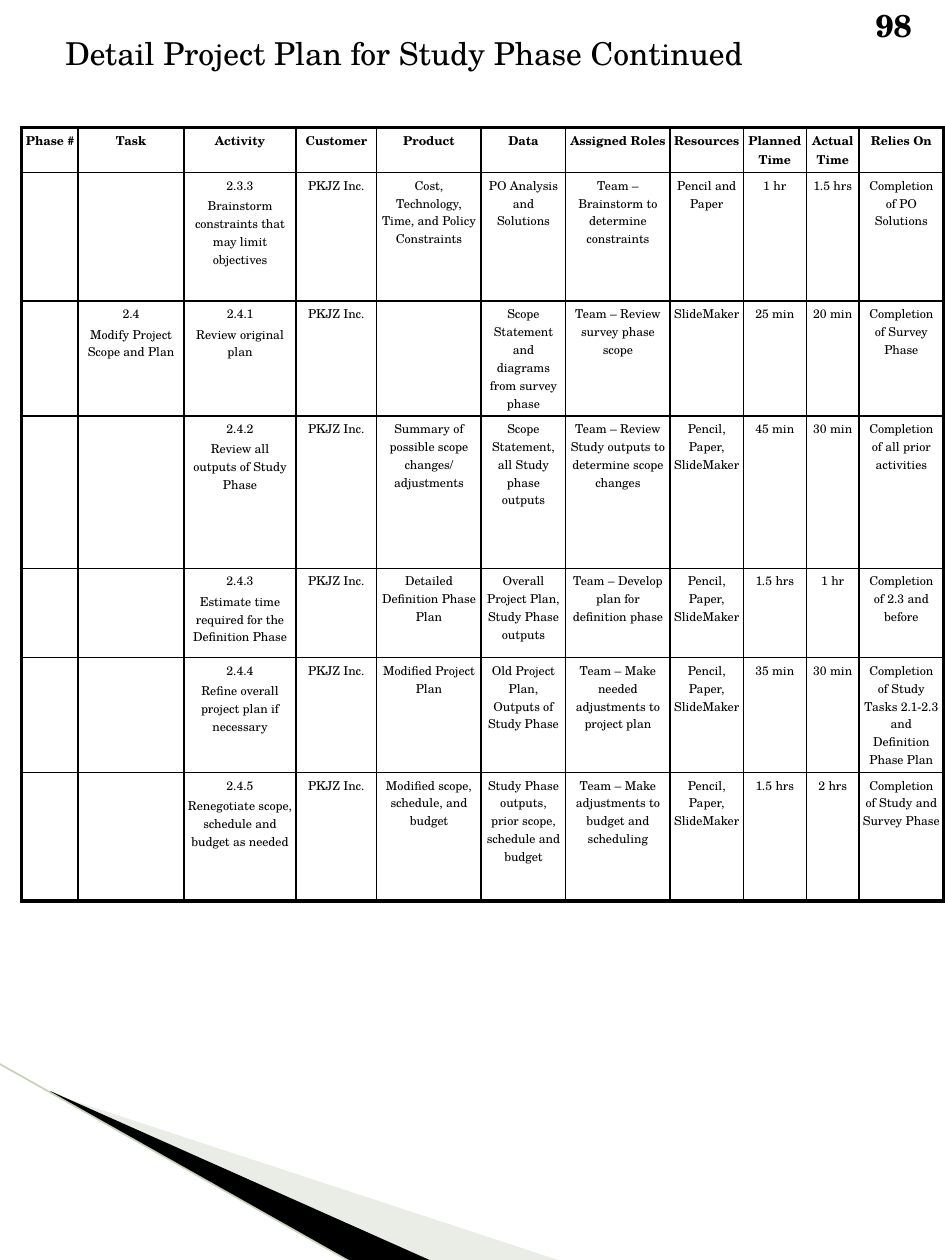
from lxml.etree import SubElement
from pptx import Presentation
from pptx.dml.color import RGBColor
from pptx.enum.shapes import MSO_CONNECTOR as Connector
from pptx.enum.text import MSO_AUTO_SIZE as AutoSize, PP_ALIGN as Align
from pptx.oxml.ns import qn
from pptx.util import Inches, Pt

BLACK = RGBColor(0x00, 0x00, 0x00)
SAGE = RGBColor(0xCB, 0xD4, 0xC0)
LINE_SAGE = RGBColor(0xC6, 0xD0, 0xBB)
FONT = "TeX Gyre Schola"
THIN, THICK = Pt(1), Pt(2.25)

COLUMN_WIDTHS = [0.45, 0.84, 0.89, 0.64, 0.83, 0.67, 0.83, 0.58, 0.5, 0.42, 0.67]
ROW_HEIGHTS = [0.29, 1.02, 0.74, 1.21, 0.71, 0.76, 1.02]
CUSTOMER = "PKJZ Inc."
TOOLS = "Pencil, Paper, SlideMaker"
HEADERS = ["Phase #", "Task", "Activity", "Customer", "Product", "Data", "Assigned Roles",
           "Resources", "Planned Time", "Actual Time", "Relies On"]
ACTIVITIES = [
    ["", "", "2.3.3\nBrainstorm constraints that may limit objectives", CUSTOMER,
     "Cost, Technology, Time, and Policy Constraints", "PO Analysis and Solutions",
     "Team – Brainstorm to determine constraints", "Pencil and Paper",
     "1 hr", "1.5 hrs", "Completion of PO Solutions"],
    ["", "2.4\nModify Project Scope and Plan", "2.4.1\nReview original plan", CUSTOMER,
     "", "Scope Statement and diagrams from survey phase",
     "Team – Review survey phase scope", "SlideMaker",
     "25 min", "20 min", "Completion of Survey Phase"],
    ["", "", "2.4.2\nReview all outputs of Study Phase", CUSTOMER,
     "Summary of possible scope changes/ adjustments",
     "Scope Statement, all Study phase outputs",
     "Team – Review Study outputs to determine scope changes", TOOLS,
     "45 min", "30 min", "Completion of all prior activities"],
    ["", "", "2.4.3\nEstimate time required for the Definition Phase", CUSTOMER,
     "Detailed Definition Phase Plan", "Overall Project Plan, Study Phase outputs",
     "Team – Develop plan for definition phase", TOOLS,
     "1.5 hrs", "1 hr", "Completion of 2.3 and before"],
    ["", "", "2.4.4\nRefine overall project plan if necessary", CUSTOMER,
     "Modified Project Plan", "Old Project Plan, Outputs of Study Phase",
     "Team – Make needed adjustments to project plan", TOOLS,
     "35 min", "30 min", "Completion of Study Tasks 2.1-2.3 and Definition Phase Plan"],
    ["", "", "2.4.5\nRenegotiate scope, schedule and budget as needed", CUSTOMER,
     "Modified scope, schedule, and budget",
     "Study Phase outputs, prior scope, schedule and budget",
     "Team – Make adjustments to budget and scheduling", TOOLS,
     "1.5 hrs", "2 hrs", "Completion of Study and Survey Phase"],
]


def write_text(frame, text, *, size, bold=False, align=Align.LEFT, gap=0):
    """Write each line of text as a formatted paragraph."""
    frame.word_wrap = True
    for index, line in enumerate(text.split("\n")):
        para = frame.add_paragraph() if index else frame.paragraphs[0]
        para.alignment = align
        if index:
            para.space_before = Pt(gap)
        span = para.add_run()
        span.text = line
        span.font.name = FONT
        span.font.size = Pt(size)
        span.font.bold = bold
        span.font.color.rgb = BLACK


def add_label(page, left, top, width, height, text, **style):
    """Place a text box that grows with its text."""
    box = page.shapes.add_textbox(Inches(left), Inches(top), Inches(width), Inches(height))
    write_text(box.text_frame, text, **style)
    box.text_frame.auto_size = AutoSize.SHAPE_TO_FIT_TEXT


def add_wedge(page, left, top, points, color, opacity=100):
    """Draw a filled outline from points relative to its corner."""
    corners = [(Inches(left + x), Inches(top + y)) for x, y in points]
    builder = page.shapes.build_freeform(*corners[0])
    builder.add_line_segments(corners[1:], close=True)
    wedge = builder.convert_to_shape()
    wedge.shadow.inherit = False
    wedge.fill.solid()
    wedge.fill.fore_color.rgb = color
    wedge.line.fill.background()
    if opacity < 100:
        tint = wedge.fill._xPr.find(f".//{qn('a:srgbClr')}")
        SubElement(tint, qn("a:alpha"), val=str(opacity * 1000))


def add_corner_art(page, left, top):
    """Draw the wedges and the slanted line in the lower left corner."""
    add_wedge(page, left + 0.42, top + 0.23, [(0, 0.01), (4.05, 1.34), (3.01, 1.34), (0, 0)],
              SAGE, opacity=40)
    add_wedge(page, left + 0.41, top + 0.22, [(0, 0), (3.03, 1.35), (2.39, 1.36), (0, 0.01)],
              BLACK)
    edge = page.shapes.add_connector(Connector.STRAIGHT, Inches(left), Inches(top),
                                     Inches(left + 2.8), Inches(top + 1.58))
    edge.line.color.rgb = LINE_SAGE
    edge.line.width = Pt(0.95)
    SubElement(edge._element.spPr, qn("a:effectLst"))


def set_borders(cell, **widths):
    """Give the cell a black border of the given width on each side."""
    properties = cell._tc.get_or_add_tcPr()
    for side in "LRTB":
        border = SubElement(properties, qn(f"a:ln{side}"), w=str(widths[side]))
        paint = SubElement(border, qn("a:solidFill"))
        SubElement(paint, qn("a:srgbClr"), val=str(BLACK))


def add_plan_table(page, left, top, width, height):
    """Build the project plan table with a thick outer frame."""
    rows = [HEADERS, *ACTIVITIES]
    last_row, last_column = len(rows) - 1, len(HEADERS) - 1
    table = page.shapes.add_table(len(rows), len(HEADERS), Inches(left), Inches(top),
                                  Inches(width), Inches(height)).table
    table.first_row = table.horz_banding = False
    for column, size in zip(table.columns, COLUMN_WIDTHS):
        column.width = Inches(size)
    for row, size in zip(table.rows, ROW_HEIGHTS):
        row.height = Inches(size)
    for r, texts in enumerate(rows):
        for c, text in enumerate(texts):
            cell = table.cell(r, c)
            cell.margin_left = cell.margin_right = Inches(0.03)
            cell.margin_top = cell.margin_bottom = Inches(0.03)
            set_borders(cell, L=THIN if c else THICK, T=THIN if r else THICK,
                        R=THICK if c == last_column else THIN,
                        B=THICK if r == last_row else THIN)
            cell.fill.background()
            if text:
                write_text(cell.text_frame, text, size=7, bold=r == 0, gap=1.4,
                           align=Align.CENTER if r or c else Align.RIGHT)


def main():
    """Build the slide and save the deck."""
    deck = Presentation()
    deck.slide_width, deck.slide_height = Inches(7.5), Inches(10)
    page = deck.slides.add_slide(deck.slide_layouts[6])
    add_corner_art(page, -0.01, 8.44)
    add_plan_table(page, 0.17, 1.01, sum(COLUMN_WIDTHS), sum(ROW_HEIGHTS))
    add_label(page, 0.42, 0.22, 6.33, 0.4, "Detail Project Plan for Study Phase Continued",
              size=18)
    add_label(page, 6.85, 0, 0.65, 0.4, "98", size=18, bold=True)
    deck.save("out.pptx")


if __name__ == "__main__":
    main()
